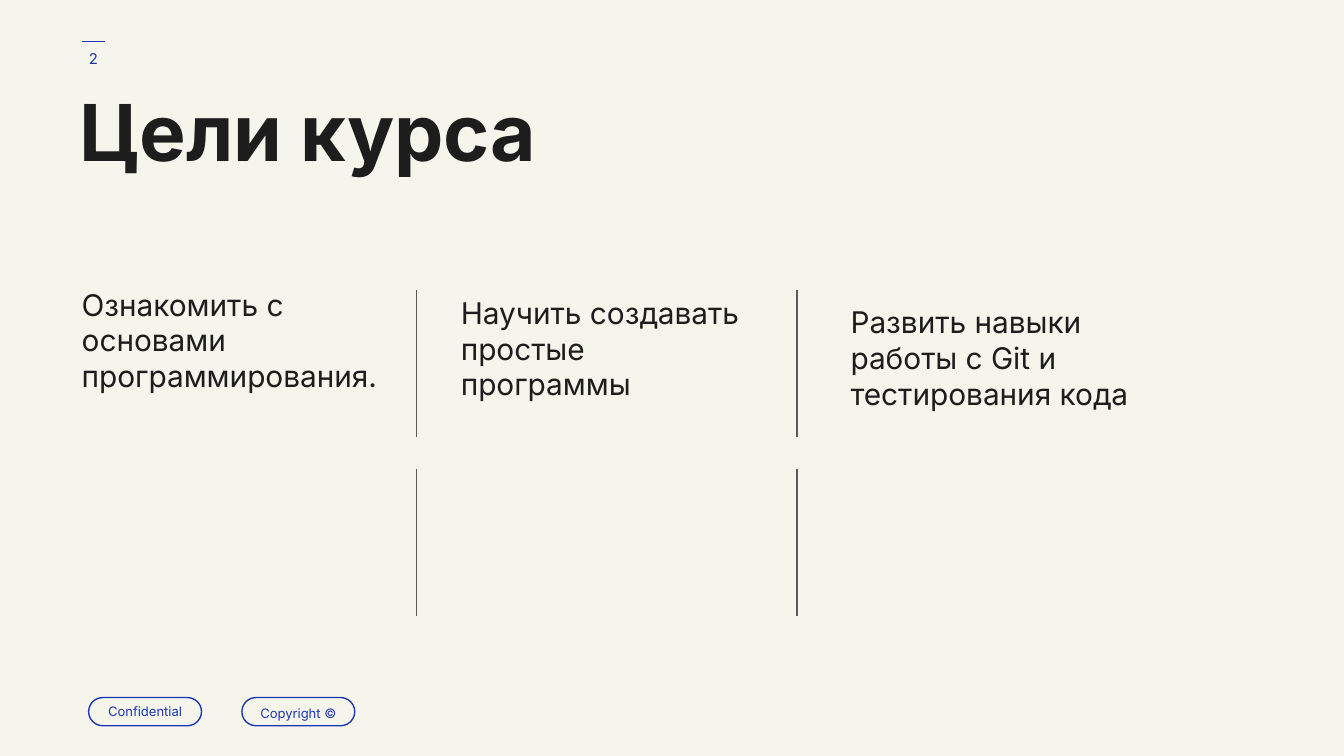
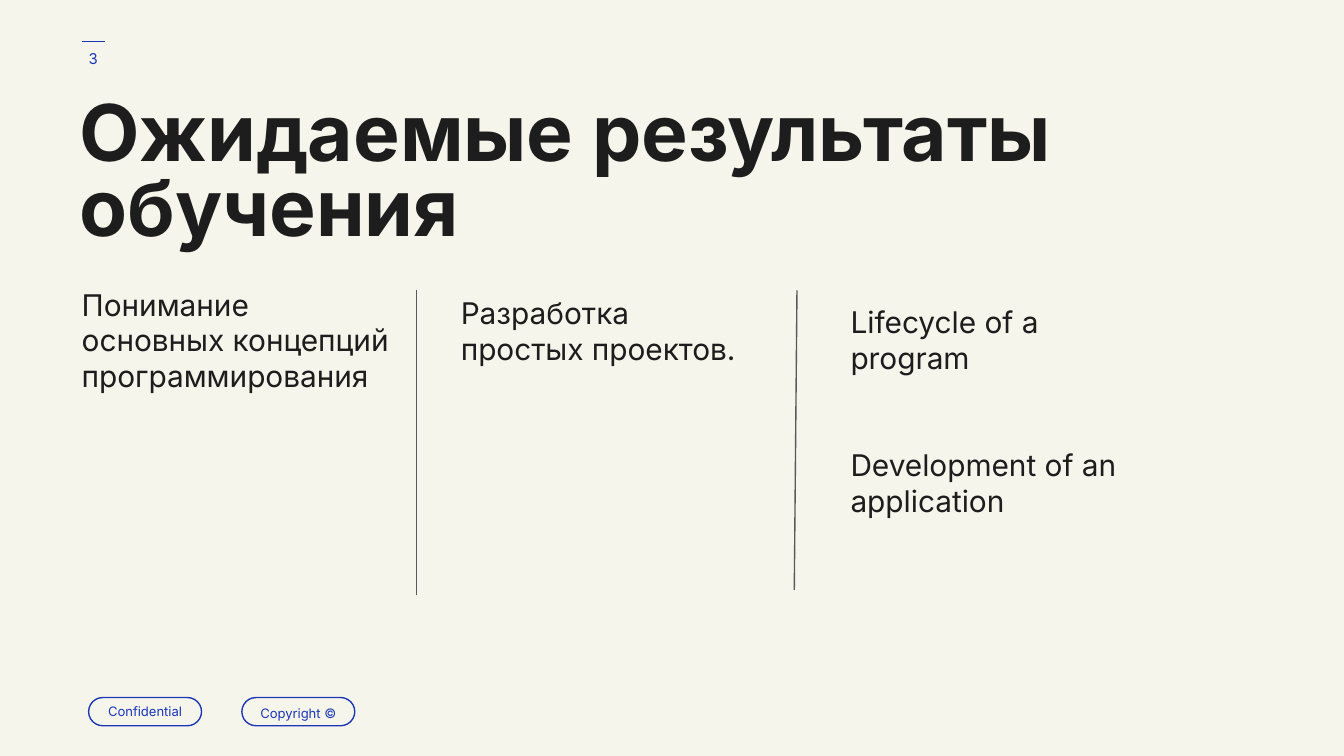
from lxml import etree
from pptx import Presentation
from pptx.dml.color import RGBColor
from pptx.enum.shapes import MSO_CONNECTOR, MSO_SHAPE
from pptx.enum.text import MSO_ANCHOR, MSO_AUTO_SIZE, PP_ALIGN
from pptx.oxml.ns import qn
from pptx.util import Inches, Pt

STRAIGHT = MSO_CONNECTOR.STRAIGHT
PILL = MSO_SHAPE.ROUNDED_RECTANGLE
TOP, MIDDLE = MSO_ANCHOR.TOP, MSO_ANCHOR.MIDDLE
LEFT, CENTER = PP_ALIGN.LEFT, PP_ALIGN.CENTER
NO_AUTOFIT = MSO_AUTO_SIZE.NONE

CREAM = RGBColor(0xF6, 0xF5, 0xEC)
BLUE = RGBColor(0x1A, 0x36, 0xB4)
INK = RGBColor(0x1D, 0x1D, 0x1D)
GREY = RGBColor(0x59, 0x59, 0x59)
FONT = "Inter"
TITLE_ONLY = 5

# Left, top and width of the three text columns
COLUMNS = [(0.51, 2.03, 2.53), (3.33, 2.09, 2.35), (6.23, 2.16, 2.35)]
FOOTERS = [("Confidential", 0.66, 1.0), ("Copyright ©", 1.8, 1.15)]

# Column texts are lists of paragraphs; dividers are x1, y1, x2, y2
SLIDES = [
    {
        "number": "2",
        "title": "Цели курса",
        "title_width": 4.83,
        "columns": [
            ["Ознакомить с основами программирования."],
            ["Научить создавать простые программы"],
            ["Развить навыки работы с Git и тестирования кода"],
        ],
        "heights": [2.4, 1.22, 1.31],
        "dividers": [(x, y, x, y + 1.09) for y in (2.16, 3.49) for x in (3.1, 5.93)],
    },
    {
        "number": "3",
        "title": "Ожидаемые результаты обучения",
        "title_width": 8.47,
        "columns": [
            ["Понимание основных концепций программирования"],
            ["Разработка простых проектов."],
            ["Lifecycle of a program", "Development of an application"],
        ],
        "heights": [2.4, 1.22, 2.06],
        "dividers": [(3.1, 2.16, 3.1, 4.43), (5.93, 2.16, 5.91, 4.39)],
    },
]


def write_text(shape, paragraphs, size=16, color=INK, bold=False, align=LEFT,
               anchor=TOP, line_spacing=1.0, gap=0):
    frame = shape.text_frame
    frame.word_wrap = True
    frame.auto_size = NO_AUTOFIT
    frame.vertical_anchor = anchor
    frame.margin_left = frame.margin_right = Inches(0.1)
    frame.margin_top = frame.margin_bottom = Inches(0.1)
    for index, text in enumerate(paragraphs):
        paragraph = frame.paragraphs[0] if index == 0 else frame.add_paragraph()
        paragraph.alignment = align
        paragraph.line_spacing = line_spacing
        paragraph.space_before = Pt(gap if index else 0)
        run = paragraph.add_run()
        run.text = text
        run.font.name = FONT
        run.font.size = Pt(size)
        run.font.bold = bold
        run.font.color.rgb = color


def add_line(slide, x1, y1, x2, y2, color):
    line = slide.shapes.add_connector(
        STRAIGHT, Inches(x1), Inches(y1), Inches(x2), Inches(y2))
    line.line.color.rgb = color
    line.line.width = Pt(0.75)
    etree.SubElement(line._element.spPr, qn("a:effectLst"))


# Widescreen 16:9 page with a shared background
presentation = Presentation()
presentation.slide_width = Inches(10)
presentation.slide_height = presentation.slide_width * 9 // 16
background = presentation.slide_master.background.fill
background.solid()
background.fore_color.rgb = CREAM

for content in SLIDES:
    slide = presentation.slides.add_slide(presentation.slide_layouts[TITLE_ONLY])

    # Slide number under its short rule
    add_line(slide, 0.78, 0.31, 0.61, 0.31, BLUE)
    number = slide.shapes.add_textbox(
        Inches(0.46), Inches(0.22), Inches(0.47), Inches(0.43))
    write_text(number, [content["number"]], size=8, color=BLUE,
               align=CENTER, anchor=MIDDLE)

    # Footer pills
    for label, left, line_spacing in FOOTERS:
        pill = slide.shapes.add_shape(
            PILL, Inches(left), Inches(5.19), Inches(0.84), Inches(0.21))
        pill.adjustments[0] = 0.5
        pill.shadow.inherit = False
        pill.fill.background()
        pill.line.color.rgb = BLUE
        pill.line.width = Pt(0.75)
        write_text(pill, [label], size=7, color=BLUE, align=CENTER,
                   anchor=MIDDLE, line_spacing=line_spacing)

    # Title
    title = slide.shapes.title
    title.left, title.top = Inches(0.49), Inches(0.65)
    title.width, title.height = Inches(content["title_width"]), Inches(1.38)
    write_text(title, [content["title"]], size=42, bold=True, line_spacing=0.8)

    # Text columns and the dividers between them
    for (left, top, width), height, paragraphs in zip(
            COLUMNS, content["heights"], content["columns"]):
        column = slide.shapes.add_textbox(
            Inches(left), Inches(top), Inches(width), Inches(height))
        write_text(column, paragraphs, gap=38.5)
    for divider in content["dividers"]:
        add_line(slide, *divider, GREY)

presentation.save("out.pptx")
